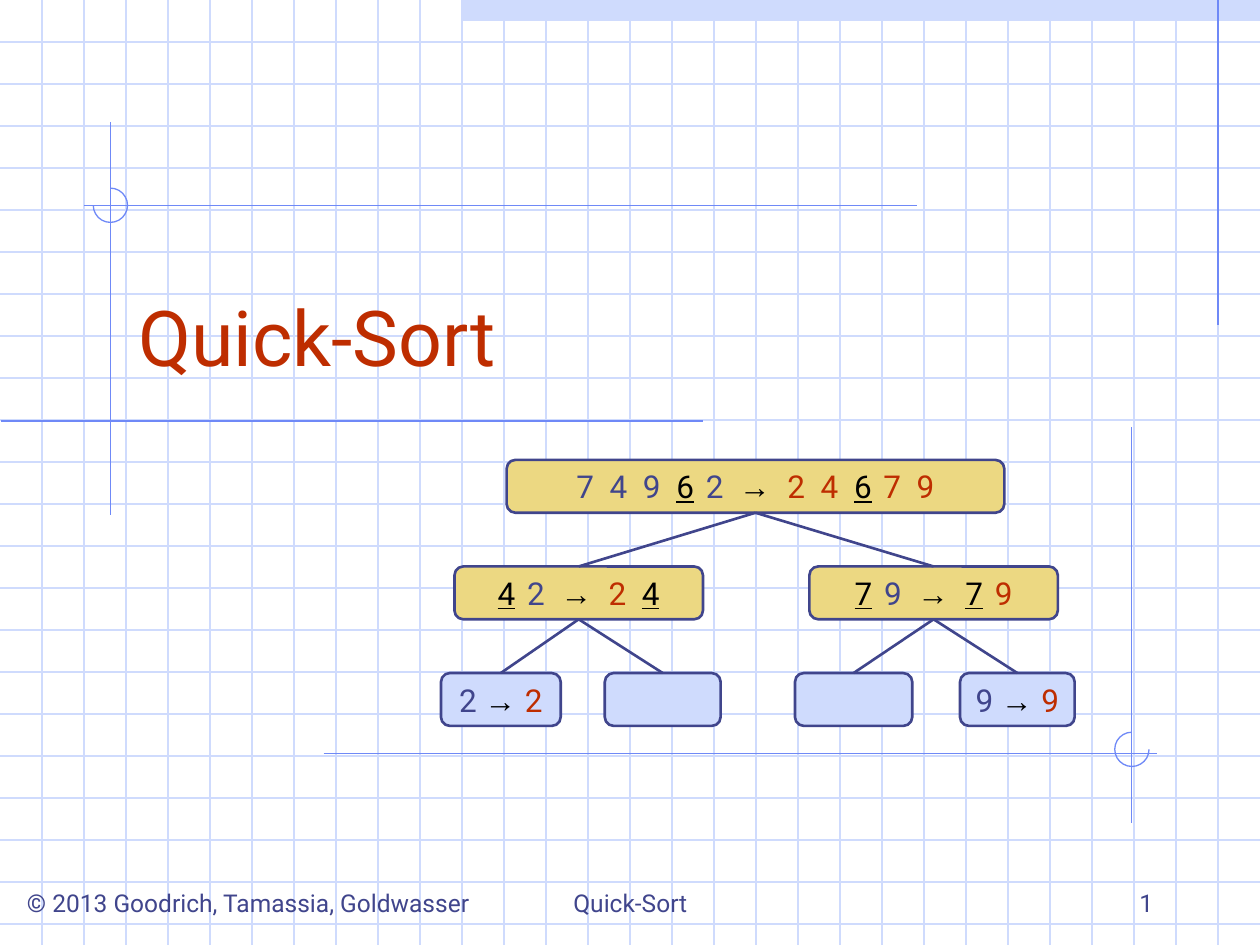
from lxml.etree import SubElement
from pptx import Presentation
from pptx.dml.color import RGBColor
from pptx.enum.shapes import MSO_CONNECTOR, MSO_SHAPE
from pptx.enum.text import MSO_ANCHOR as ANCHOR, PP_ALIGN as ALIGN
from pptx.oxml.ns import qn
from pptx.util import Pt

WHITE = RGBColor(0xFF, 0xFF, 0xFF)
BLACK = RGBColor(0, 0, 0)
PALE = RGBColor(0xCF, 0xDB, 0xFD)
BLUE = RGBColor(0x6F, 0x89, 0xF7)
NAVY = RGBColor(0x40, 0x45, 0x8C)
GOLD = RGBColor(0xEC, 0xD8, 0x82)
RED = RGBColor(0xBE, 0x2D, 0x00)
FONT = "Roboto"
WIDTH, HEIGHT, GRID = 720, 540, 24

RULES = [
    (696, 0, 696, 185.8),
    (63.2, 70, 63.2, 294.5),
    (0.7, 240.5, 401.8, 240.5),
    (48.2, 117.4, 524.2, 117.4),
    (185, 430.4, 661, 430.4),
    (646.6, 244.1, 646.6, 470.2),
]
ARC_SIZE = 19.6
ARCS = [(63.1, 117.3, 270, 180), (646.8, 428.2, 0, 270)]

TEXTS = [
    ("© 2013 Goodrich, Tamassia, Goldwasser", 2.2, 504, 279.4, 24.5,
     14, NAVY, ALIGN.CENTER, ANCHOR.TOP, False),
    ("Quick-Sort", 246.2, 492, 228.2, 36, 14, NAVY, ALIGN.CENTER, ANCHOR.BOTTOM, True),
    ("1", 516, 492, 150, 36, 14, NAVY, ALIGN.RIGHT, ANCHOR.BOTTOM, True),
    ("Quick-Sort", 72, 132, 612, 90, 44, RED, ALIGN.LEFT, ANCHOR.BOTTOM, True),
]

RUN_STYLES = {
    "input": (FONT, NAVY, False, False),
    "pivot": (FONT, BLACK, False, True),
    "arrow": ("Arial", BLACK, True, False),
    "output": (FONT, RED, False, False),
}
ROW_TOP, ROW_STEP, NODE_H = 262.8, 60.9, 30.2
NODE_GAP = 2.25
NODES = {
    "root": (0, 289.5, 284.4, GOLD, NODE_GAP, [
        ("7 4 9 ", "input"), ("6", "pivot"), (" 2 ", "input"), ("→ ", "arrow"),
        ("2 4 ", "output"), ("6", "pivot"), (" 7 9", "output")]),
    "left": (1, 259.7, 142, GOLD, NODE_GAP, [
        ("4", "pivot"), (" 2 ", "input"), ("→ ", "arrow"),
        ("2 ", "output"), ("4", "pivot")]),
    "right": (1, 462.5, 142, GOLD, NODE_GAP, [
        ("7", "pivot"), (" 9 ", "input"), ("→ ", "arrow"),
        ("7", "pivot"), (" 9", "output")]),
    "two": (2, 252, 68.4, PALE, 0, [("2 ", "input"), ("→ ", "arrow"), ("2", "output")]),
    "left empty": (2, 345.6, 66.2, PALE, 0, []),
    "right empty": (2, 454.3, 67, PALE, 0, []),
    "nine": (2, 548.6, 65.5, PALE, 0, [("9 ", "input"), ("→ ", "arrow"), ("9", "output")]),
}
CHILDREN = {
    "root": ("left", "right"),
    "left": ("two", "left empty"),
    "right": ("right empty", "nine"),
}


def add_line(s, x1, y1, x2, y2, color, weight=0.75):
    line = s.shapes.add_connector(MSO_CONNECTOR.STRAIGHT, Pt(x1), Pt(y1), Pt(x2), Pt(y2))
    line.line.color.rgb = color
    line.line.width = Pt(weight)
    SubElement(line._element.spPr, qn("a:effectLst"))


def add_shape(s, kind, x, y, w, h, fill=None, line=None, weight=0.75):
    sp = s.shapes.add_shape(kind, Pt(x), Pt(y), Pt(w), Pt(h))
    sp.shadow.inherit = False
    if fill is None:
        sp.fill.background()
    else:
        sp.fill.solid()
        sp.fill.fore_color.rgb = fill
    if line is None:
        sp.line.fill.background()
    else:
        sp.line.color.rgb = line
        sp.line.width = Pt(weight)
    return sp


def add_text(s, text, x, y, w, h, size, color, align, anchor, wrap):
    tf = s.shapes.add_textbox(Pt(x), Pt(y), Pt(w), Pt(h)).text_frame
    tf.word_wrap = wrap
    tf.vertical_anchor = anchor
    p = tf.paragraphs[0]
    p.text = text
    p.alignment = align
    p.font.size = Pt(size)
    p.font.name = FONT
    p.font.color.rgb = color


def add_node(s, row, x, w, fill, gap, runs):
    y = ROW_TOP + row * ROW_STEP
    sp = add_shape(s, MSO_SHAPE.ROUNDED_RECTANGLE, x, y, w, NODE_H, fill, NAVY, 1.5)
    tf = sp.text_frame
    tf.word_wrap = False
    tf.vertical_anchor = ANCHOR.MIDDLE
    p = tf.paragraphs[0]
    p.alignment = ALIGN.CENTER
    p.font.size = Pt(18)
    for text, style in runs:
        r = p.add_run()
        r.text = text
        r.font.name, color, r.font.bold, r.font.underline = RUN_STYLES[style]
        r.font.color.rgb = color
        if gap and style != "pivot":
            r.font._element.set("spc", str(round(gap * 100)))


def add_edge(s, parent, child):
    row, x, w = NODES[parent][:3]
    child_row, child_x, child_w = NODES[child][:3]
    add_line(s, x + w / 2, ROW_TOP + row * ROW_STEP + NODE_H,
             child_x + child_w / 2, ROW_TOP + child_row * ROW_STEP, NAVY, 1.5)


def main():
    prs = Presentation()
    prs.slide_width, prs.slide_height = Pt(WIDTH), Pt(HEIGHT)
    s = prs.slides.add_slide(prs.slide_layouts[6])
    s.background.fill.solid()
    s.background.fill.fore_color.rgb = WHITE

    add_shape(s, MSO_SHAPE.RECTANGLE, 264, 0, 456, 12, PALE)
    for y in range(GRID, HEIGHT, GRID):
        add_line(s, 0, y, WIDTH, y, PALE)
    for x in range(GRID, WIDTH, GRID):
        add_line(s, x, 0, x, HEIGHT, PALE)
    for rule in RULES:
        add_line(s, *rule, BLUE)
    for cx, cy, start, end in ARCS:
        arc = add_shape(s, MSO_SHAPE.ARC, cx - ARC_SIZE / 2, cy - ARC_SIZE / 2,
                        ARC_SIZE, ARC_SIZE, line=BLUE)
        arc.adjustments[0] = start * 0.6
        arc.adjustments[1] = end * 0.6

    for text in TEXTS:
        add_text(s, *text)
    for node in NODES.values():
        add_node(s, *node)
    for parent, children in CHILDREN.items():
        for child in children:
            add_edge(s, parent, child)
    prs.save("out.pptx")


if __name__ == "__main__":
    main()
